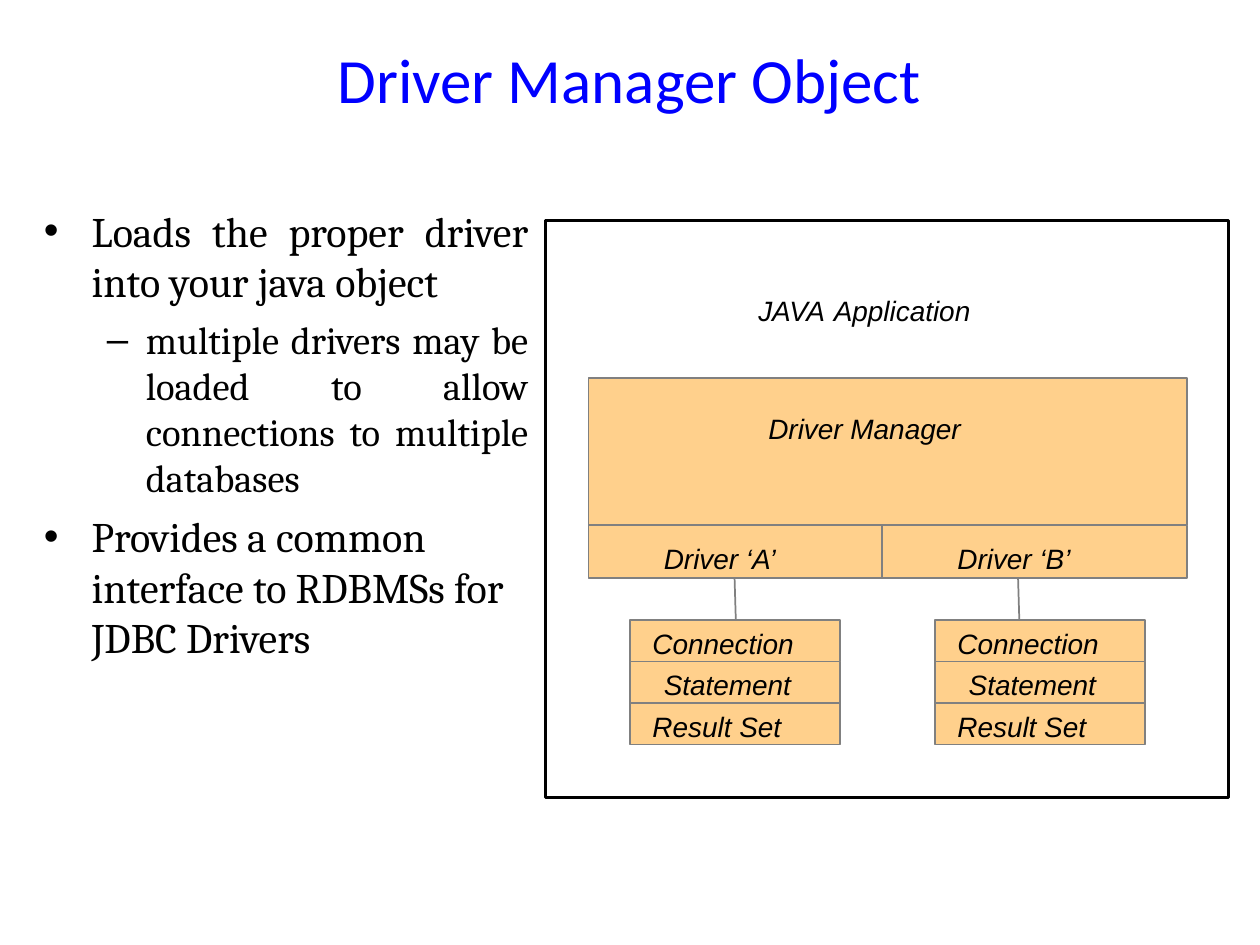
from lxml.etree import SubElement
from pptx import Presentation
from pptx.dml.color import RGBColor
from pptx.enum.shapes import MSO_CONNECTOR, MSO_SHAPE
from pptx.enum.text import MSO_ANCHOR, PP_ALIGN
from pptx.oxml.ns import qn
from pptx.util import Inches, Pt

BLACK = RGBColor(0x00, 0x00, 0x00)
WHITE = RGBColor(0xFF, 0xFF, 0xFF)
BLUE = RGBColor(0x00, 0x00, 0xFF)
GRAY = RGBColor(0x80, 0x80, 0x80)
ORANGE = RGBColor(0xFF, 0xD0, 0x8C)


def add_text(s, x, y, w, h):
    tf = s.shapes.add_textbox(Inches(x), Inches(y), Inches(w), Inches(h)).text_frame
    tf.word_wrap = True
    return tf


def add_run(p, text, font, size, color=BLACK, italic=False, bold=False):
    r = p.add_run()
    r.text = text
    r.font.name, r.font.size = font, Pt(size)
    r.font.italic, r.font.bold = italic, bold
    r.font.color.rgb = color


def add_box(s, x, y, w, h, fill=ORANGE, line=GRAY, width=1):
    sp = s.shapes.add_shape(MSO_SHAPE.RECTANGLE, Inches(x), Inches(y), Inches(w), Inches(h))
    sp.shadow.inherit = False
    sp.fill.solid()
    sp.fill.fore_color.rgb = fill
    sp.line.color.rgb = line
    sp.line.width = Pt(width)


def add_label(s, x, y, w, text):
    p = add_text(s, x, y, w, 0.37).paragraphs[0]
    p.space_before = Pt(10)
    add_run(p, text, "Arial", 16, italic=True)
    return p


def add_link(s, x, y, h):
    c = s.shapes.add_connector(MSO_CONNECTOR.STRAIGHT, Inches(x), Inches(y),
                               Inches(x + 0.01), Inches(y + h))
    c.line.color.rgb = GRAY
    c.line.width = Pt(1)
    SubElement(c._element.spPr, qn("a:effectLst"))


def add_title(s, x, y, w, h):
    tf = add_text(s, x, y, w, h)
    tf.vertical_anchor = MSO_ANCHOR.MIDDLE
    p = tf.paragraphs[0]
    p.alignment = PP_ALIGN.CENTER
    add_run(p, "Driver Manager Object", "Calibri", 36, BLUE)


def add_bullets(s, x, y, w, h):
    items = [
        (0, PP_ALIGN.JUSTIFY, "Loads the proper driver into your java object"),
        (1, PP_ALIGN.JUSTIFY, "multiple drivers may be loaded to allow connections "
                              "to multiple databases"),
        (0, PP_ALIGN.LEFT, "Provides a common interface to RDBMSs for JDBC Drivers"),
    ]
    # Per level: bullet, left margin, hanging indent, size, space before
    levels = [("•", 0.38, 0.38, 24, 6), ("–", 0.81, 0.31, 22, 5.5)]
    tf = add_text(s, x, y, w, h)
    for i, (level, align, text) in enumerate(items):
        bullet, margin, hang, size, before = levels[level]
        p = tf.add_paragraph() if i else tf.paragraphs[0]
        p.level, p.alignment, p.space_before = level, align, Pt(before)
        pPr = p._p.get_or_add_pPr()
        pPr.set("marL", str(Inches(margin)))
        pPr.set("indent", str(-Inches(hang)))
        SubElement(pPr, qn("a:buFont"), typeface="Arial")
        SubElement(pPr, qn("a:buChar"), char=bullet)
        add_run(p, text, "Cambria", size)


def add_stack(s, x, y, w, row):
    # Objects that each driver opens
    parts = [("Connection", 0.08), ("Statement", 0.17), ("Result Set", 0.08)]
    for i, (text, inset) in enumerate(parts):
        top = y + i * row
        add_box(s, x, top, w, row)
        add_label(s, x + inset, top, w - 2 * inset, text)


def add_diagram(s, x, y, w, h):
    # Application frame
    add_box(s, x, y, w, h, WHITE, BLACK, 2)
    p = add_label(s, x + 1.59, y + 0.5, 2.5, "JAVA")
    add_run(p, " ", "Arial", 18, GRAY, italic=True, bold=True)
    add_run(p, "Application", "Arial", 16, italic=True)
    # Driver manager
    left, top = x + 0.34, y + 1.25
    add_box(s, left, top, 4.75, 1.17)
    add_label(s, left + 1.33, top + 0.22, 1.83, "Driver Manager")
    # Drivers, each linked to its stack: name, left, width, link offset, stack offset
    drivers = [("A", left, 2.33, 1.16, 0.33), ("B", left + 2.33, 2.42, 1.08, 0.42)]
    row = top + 1.17
    for name, dx, dw, link, stack in drivers:
        add_box(s, dx, row, dw, 0.42)
        add_label(s, dx + 0.5, row + 0.08, 1.25, f"Driver ‘{name}’")
        add_link(s, dx + link, row + 0.42, 0.33)
        add_stack(s, dx + stack, row + 0.75, 1.67, 0.33)


prs = Presentation()
prs.slide_width, prs.slide_height = Inches(10), Inches(7.5)
s = prs.slides.add_slide(prs.slide_layouts[6])
add_title(s, 0.08, 0, 9.83, 1.25)
add_bullets(s, 0.25, 1.58, 4.04, 4.5)
add_diagram(s, 4.33, 1.75, 5.42, 4.58)
prs.save("out.pptx")
